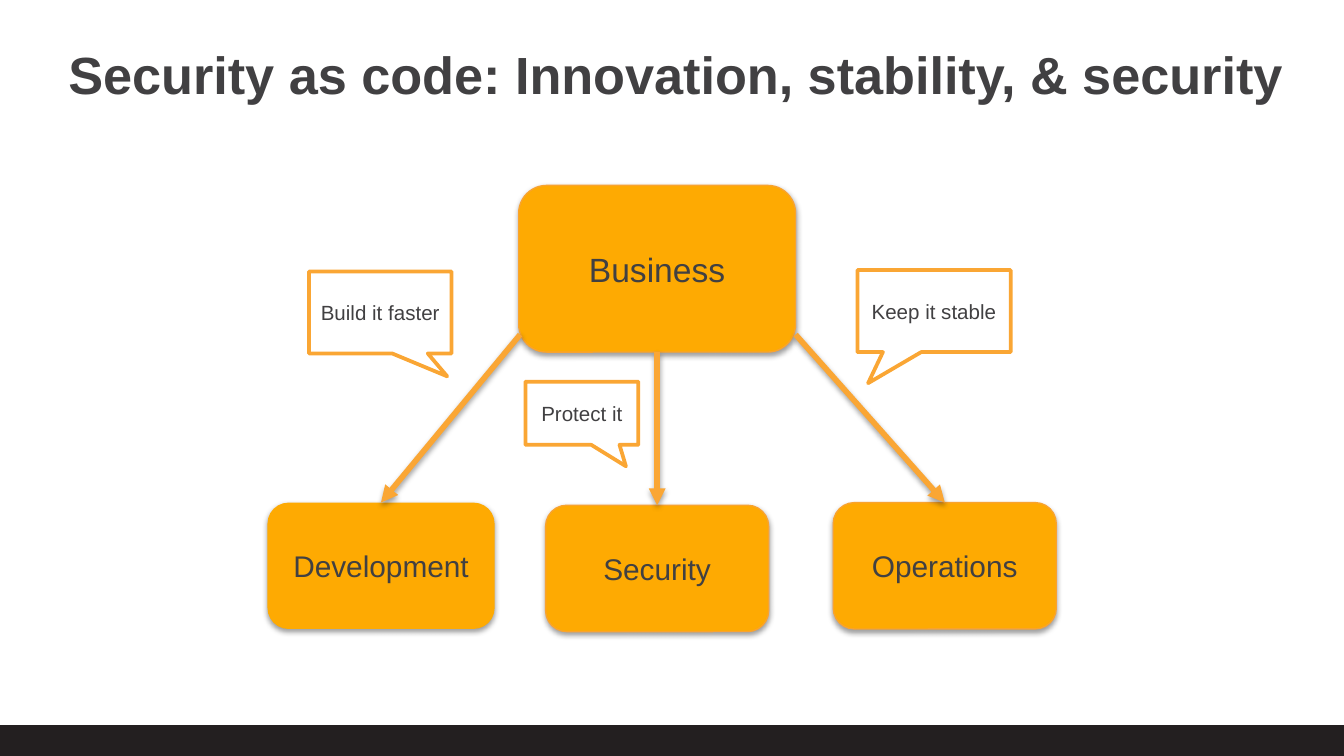
"""Build a slide showing what the business asks of development, security and operations."""
import dataclasses

import lxml.etree
import pptx
import pptx.dml.color
import pptx.enum.shapes
import pptx.enum.text
import pptx.oxml
import pptx.oxml.ns
import pptx.util

Inches = pptx.util.Inches
Shape = pptx.enum.shapes.MSO_SHAPE
Align = pptx.enum.text.PP_ALIGN
rgb = pptx.dml.color.RGBColor.from_string


@dataclasses.dataclass(frozen=True)
class Theme:
    font: str = "Arial"
    ink: str = "414042"
    footer: str = "231F20"
    box: str = "FEAA02"
    edge: str = "F9A32E"
    accent: str = "FAA634"
    paper: str = "FFFFFF"
    title_size: int = 28
    business_size: int = 18
    team_size: int = 16
    callout_size: int = 11


theme = Theme()


def write(shape, text, *, size, bold=False, align=Align.CENTER, insets=(0.04, 0.02, 0.04, 0.02)):
    frame = shape.text_frame
    frame.word_wrap = True
    frame.vertical_anchor = pptx.enum.text.MSO_ANCHOR.MIDDLE
    frame.margin_left, frame.margin_top, frame.margin_right, frame.margin_bottom = map(Inches, insets)
    para = frame.paragraphs[0]
    para.alignment = align
    span = para.add_run()
    span.text = text
    span.font.name = theme.font
    span.font.size = pptx.util.Pt(size)
    span.font.bold = bold
    span.font.color.rgb = rgb(theme.ink)


def add_shadow(shape):
    shape._element.spPr.append(pptx.oxml.parse_xml(
        f'<a:effectLst {pptx.oxml.ns.nsdecls("a")}>'
        '<a:outerShdw blurRad="39370" dist="20320" dir="5400000" rotWithShape="0">'
        '<a:srgbClr val="000000"><a:alpha val="38000"/></a:srgbClr>'
        '</a:outerShdw></a:effectLst>'))


deck = pptx.Presentation()
deck.slide_width = Inches(10)
deck.slide_height = deck.slide_width * 9 // 16
page = deck.slides.add_slide(deck.slide_layouts[6])
shapes = page.shapes

footer = shapes.add_shape(Shape.RECTANGLE, Inches(0), Inches(5.4), Inches(10.01), Inches(0.23))
footer.shadow.inherit = False
footer.fill.solid()
footer.fill.fore_color.rgb = rgb(theme.footer)
footer.line.color.rgb = rgb(theme.footer)
footer.line.width = pptx.util.Pt(0.75)

title = shapes.add_textbox(Inches(0.41), Inches(0.26), Inches(9.62), Inches(0.56))
write(title, "Security as code: Innovation, stability, & security", size=theme.title_size,
      bold=True, align=Align.LEFT, insets=(0.1, 0.05, 0.1, 0.03))

boxes = {}
for name, left, top, width, height, size, outlined in (
    ("Business", 3.86, 1.38, 2.06, 1.24, theme.business_size, True),
    ("Development", 1.99, 3.74, 1.69, 0.94, theme.team_size, False),
    ("Operations", 6.2, 3.74, 1.66, 0.94, theme.team_size, True),
    ("Security", 4.06, 3.76, 1.66, 0.94, theme.team_size, True),
):
    box = shapes.add_shape(Shape.ROUNDED_RECTANGLE, *map(Inches, (left, top, width, height)))
    box.fill.solid()
    box.fill.fore_color.rgb = rgb(theme.box)
    if outlined:
        box.line.color.rgb = rgb(theme.edge)
        box.line.width = pptx.util.Pt(0.75)
    else:
        box.line.fill.background()
    add_shadow(box)
    write(box, name, size=size)
    boxes[name] = box

for team, start_x, start_y in (("Development", 3.87, 2.49), ("Operations", 5.92, 2.49), ("Security", 4.89, 2.62)):
    start = Inches(start_x), Inches(start_y)
    arrow = shapes.add_connector(pptx.enum.shapes.MSO_CONNECTOR.STRAIGHT, *start, *start)
    if team == "Security":
        arrow.begin_connect(boxes["Business"], 2)
    arrow.end_connect(boxes[team], 0)
    arrow.line.color.rgb = rgb(theme.accent)
    arrow.line.width = pptx.util.Pt(3)
    lxml.etree.SubElement(arrow.line._get_or_add_ln(), pptx.oxml.ns.qn("a:tailEnd"), type="triangle")
    add_shadow(arrow)

for text, left, top, width, height, tip in (
    ("Build it faster", 2.3, 2.02, 1.06, 0.61, (0.47, 0.78)),
    ("Keep it stable", 6.38, 2.01, 1.14, 0.61, (-0.43, 0.88)),
    ("Protect it", 3.91, 2.84, 0.84, 0.47, (0.39, 0.84)),
):
    callout = shapes.add_shape(Shape.RECTANGULAR_CALLOUT, *map(Inches, (left, top, width, height)))
    callout.adjustments[0], callout.adjustments[1] = tip
    callout.shadow.inherit = False
    callout.fill.solid()
    callout.fill.fore_color.rgb = rgb(theme.paper)
    color = callout._element.spPr.find(pptx.oxml.ns.qn("a:solidFill"))[0]
    lxml.etree.SubElement(color, pptx.oxml.ns.qn("a:alpha"), val="10000")
    callout.line.color.rgb = rgb(theme.accent)
    callout.line.width = pptx.util.Pt(2)
    write(callout, text, size=theme.callout_size)

deck.save("out.pptx")
